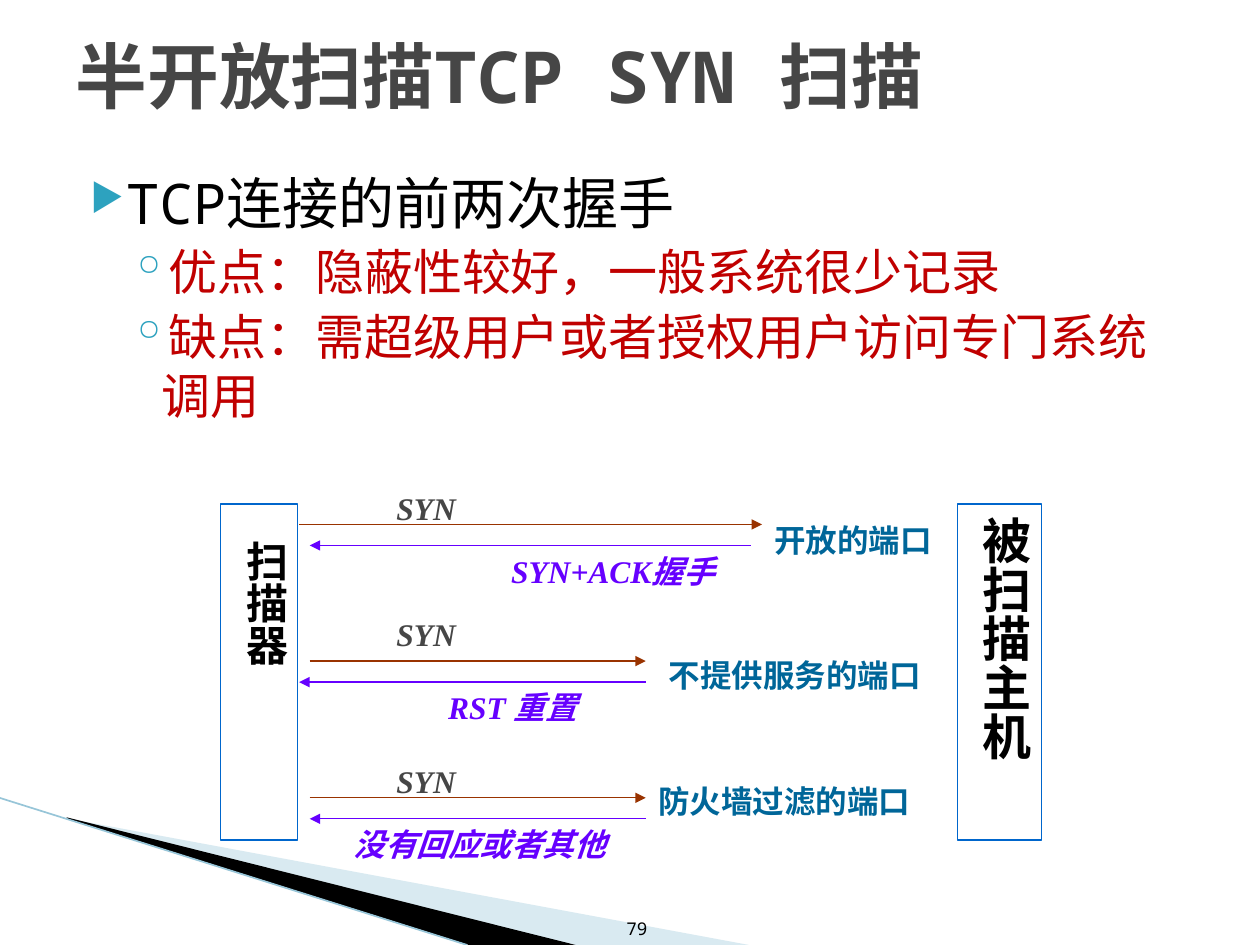
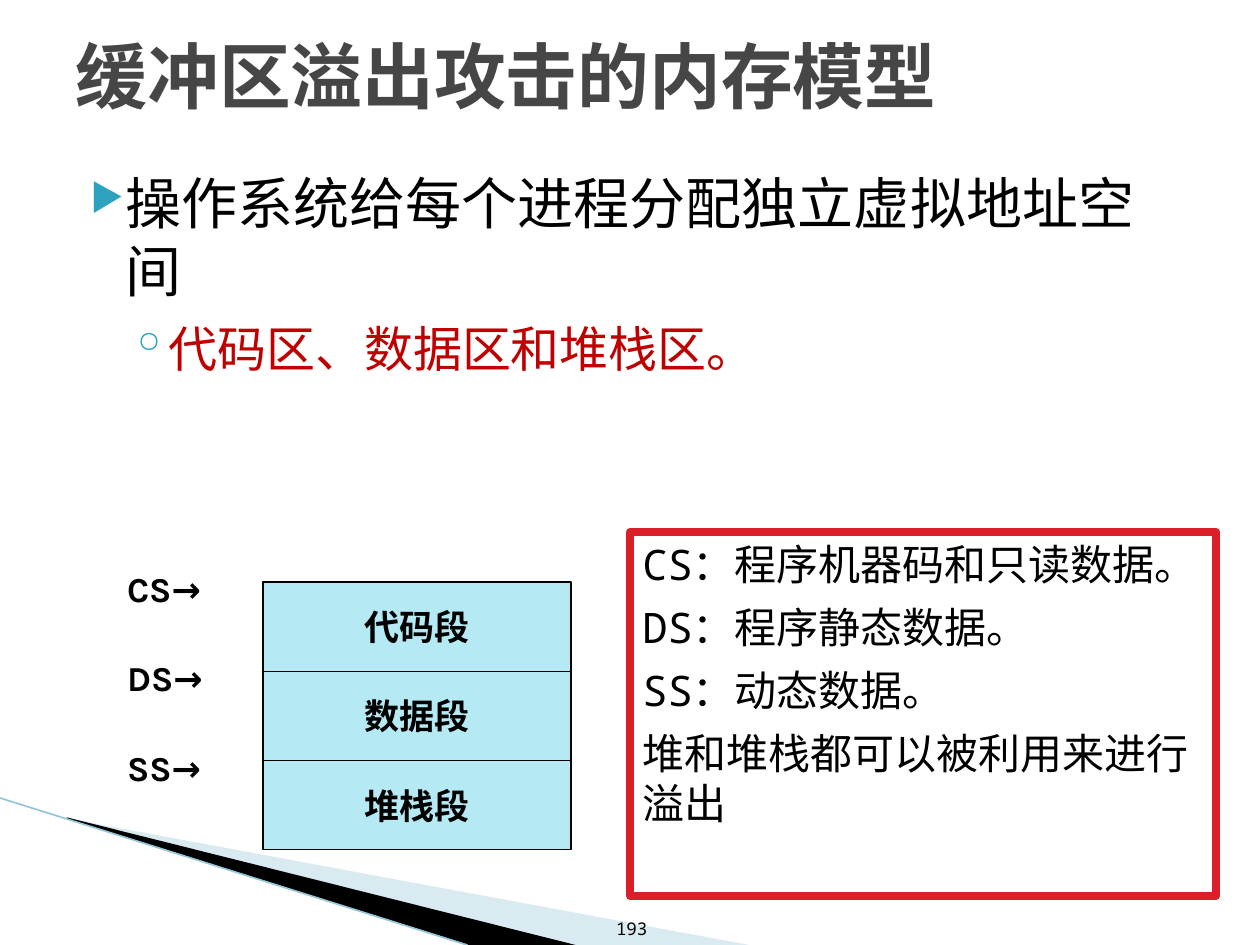
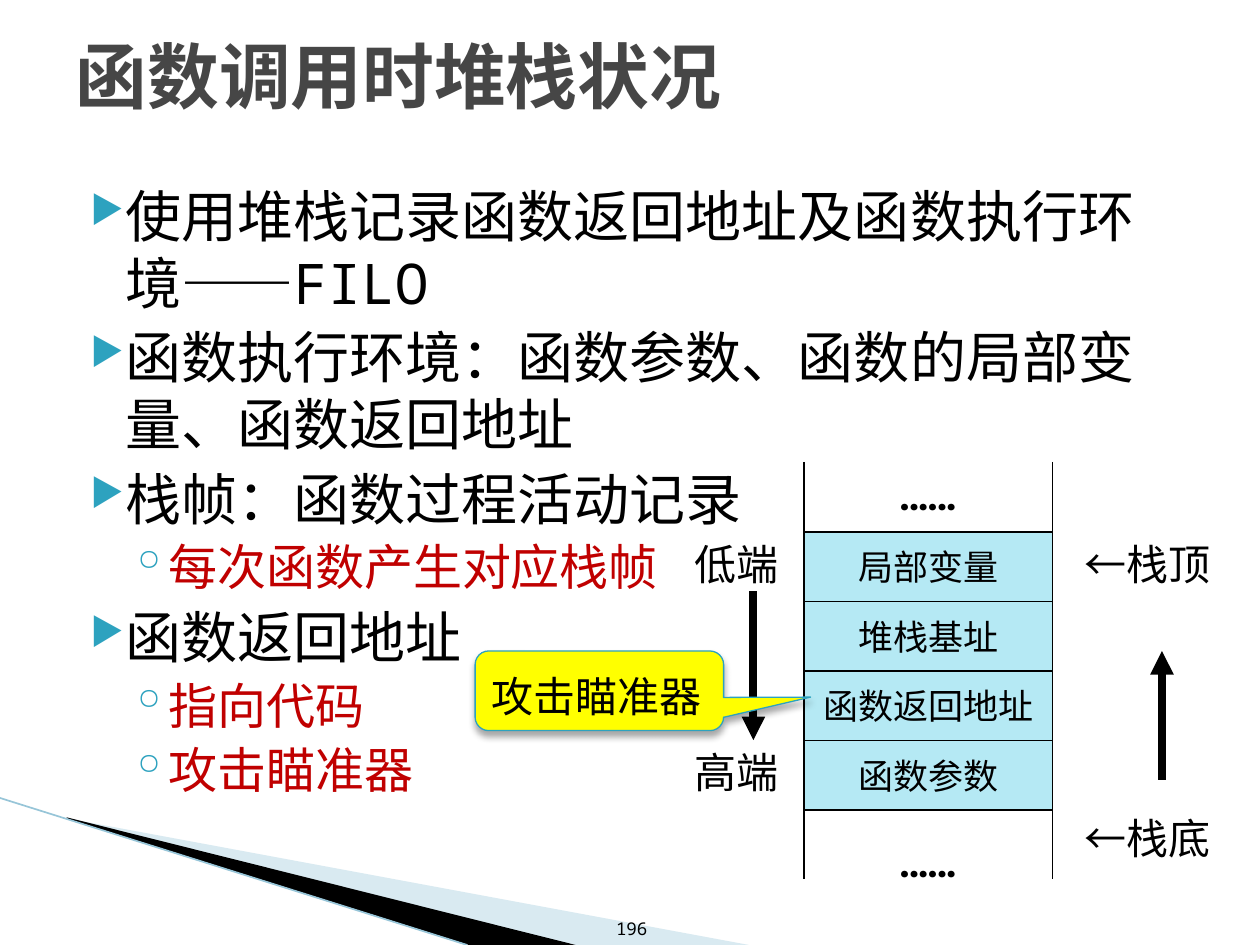
from dataclasses import dataclass
from typing import NamedTuple, Optional

from lxml import etree
from pptx import Presentation
from pptx import util as u
from pptx.dml.color import RGBColor
from pptx.enum import lang, shapes, text
from pptx.oxml import parse_xml
from pptx.oxml.ns import nsdecls, qn

# Shared look
MONO, SERIF, SANS, CALLOUT_FONT = "Noto Sans Mono", "Times New Roman", "Karla", "Arial"
BLACK, WHITE, TITLE_GREY, TEAL, RED = "000000", "FFFFFF", "464646", "2DA2BF", "C00000"
HOST_BLUE, PORT_BLUE, SEND, REPLY = "0066CC", "006699", "993300", "6600FF"
CELL_BLUE, FRAME_RED, YELLOW = "B5E9F4", "DA1F28", "FFFF00"
PALE_BAND, BAND_LINE = "A0CBDC", "97C5D8"
CENTER, RIGHT = text.PP_ALIGN.CENTER, text.PP_ALIGN.RIGHT
MIDDLE, BOTTOM = text.MSO_ANCHOR.MIDDLE, text.MSO_ANCHOR.BOTTOM


class Box(NamedTuple):
    left: float
    top: float
    width: float
    height: float


@dataclass(frozen=True)
class Style:
    size: float
    name: str
    color: str = BLACK
    bold: bool = False
    italic: bool = False


@dataclass(frozen=True)
class Level:
    style: Style
    bullet: str
    bullet_size: int
    margin: float
    indent: float
    before: float


@dataclass(frozen=True)
class Exchange:
    """A SYN probe, its reply and the kind of port that was probed."""
    port: str
    port_at: Box
    syn_top: float
    send_x: tuple[float, float]
    reply: str
    reply_left: float
    reply_width: float
    reply_x: tuple[float, float]


TITLE = Style(41, MONO, TITLE_GREY, bold=True)
POINT = Level(Style(32, MONO), "▶", 68, 28.8, -20.16, 4)
SUBPOINT = Level(Style(28, MONO, RED), "◦", 100, 49, -18, 3.2)
BODY = Box(36, 93, 648, 410)


# Drawing helpers
def rgb(color: str) -> RGBColor:
    return RGBColor.from_string(color)


def place(shape, box: Box) -> None:
    for side, value in box._asdict().items():
        setattr(shape, side, u.Pt(value))


def add_run(paragraph, words: str, style: Style) -> None:
    run = paragraph.add_run()
    run.text = words
    values = {"size": u.Pt(style.size), "name": style.name, "bold": style.bold,
              "italic": style.italic, "language_id": lang.MSO_LANGUAGE_ID.SIMPLIFIED_CHINESE}
    for key, value in values.items():
        setattr(run.font, key, value)
    run.font.color.rgb = rgb(style.color)


def write(shape, lines: list[str], style: Style, align=text.PP_ALIGN.LEFT,
          anchor=text.MSO_ANCHOR.TOP, wrap: bool = True, before: float = 0,
          spacing: Optional[float] = None) -> None:
    frame = shape.text_frame
    frame.word_wrap, frame.vertical_anchor = wrap, anchor
    for index, words in enumerate(lines):
        paragraph = frame.add_paragraph() if index else frame.paragraphs[0]
        paragraph.alignment = align
        if index:
            paragraph.space_before = u.Pt(before)
        if spacing:
            paragraph.line_spacing = spacing
        add_run(paragraph, words, style)


def add_label(slide, words: str, box: Box, style: Style, **layout) -> None:
    label = slide.shapes.add_textbox(*map(u.Pt, box))
    write(label, [words], style, **layout)


def paint(shape, fill: Optional[str], line: Optional[str], width: float = 0.75) -> None:
    shape.shadow.inherit = False
    if fill:
        shape.fill.solid()
        shape.fill.fore_color.rgb = rgb(fill)
    else:
        shape.fill.background()
    if line:
        shape.line.color.rgb = rgb(line)
        shape.line.width = u.Pt(width)
    else:
        shape.line.fill.background()


def add_block(slide, box: Box, fill: Optional[str], line: str, width: float = 0.75,
              kind=shapes.MSO_SHAPE.RECTANGLE):
    block = slide.shapes.add_shape(kind, *map(u.Pt, box))
    paint(block, fill, line, width)
    return block


def add_line(slide, start: tuple[float, float], end: tuple[float, float], color: str,
             width: float = 0.75, arrow: bool = False) -> None:
    line = slide.shapes.add_connector(
        shapes.MSO_CONNECTOR.STRAIGHT, *map(u.Pt, (*start, *end)))
    line.line.color.rgb = rgb(color)
    line.line.width = u.Pt(width)
    if arrow:
        etree.SubElement(line.line._get_or_add_ln(), qn("a:tailEnd"), type="triangle")
    etree.SubElement(line._element.spPr, qn("a:effectLst"))


def add_wedge(slide, points: list[tuple[float, float]], fill: str,
              opacity: Optional[int] = None) -> None:
    outline = slide.shapes.build_freeform(*points[0], scale=u.Pt(1))
    outline.add_line_segments(points[1:], close=True)
    wedge = outline.convert_to_shape()
    paint(wedge, fill, None)
    if opacity:
        color = wedge._element.spPr.find(qn("a:solidFill"))[0]
        etree.SubElement(color, qn("a:alpha"), val=str(opacity * 1000))


# Parts found on every slide
def start_slide(deck, title: str, number: int):
    slide = deck.slides.add_slide(deck.slide_layouts[5])
    add_wedge(slide, [(39.6, 468.5), (428, 540), (328, 540), (39.6, 468)], PALE_BAND, 40)
    add_wedge(slide, [(38, 467), (329, 540), (268, 540), (39, 468)], BLACK)
    add_line(slide, (0, 456), (267, 540), BAND_LINE, 0.95)
    place(slide.shapes.title, Box(36, -2, 648, 90))
    write(slide.shapes.title, [title], TITLE, anchor=MIDDLE)
    slide.shapes.title.text_frame.auto_size = text.MSO_AUTO_SIZE.NONE
    add_label(slide, str(number), Box(337, 505, 40, 35), Style(10, MONO),
              align=RIGHT, anchor=BOTTOM)
    return slide


def add_outline(slide, box: Box, items: list[tuple[Level, str]],
                before_ratio: Optional[float] = None) -> None:
    frame = slide.shapes.add_textbox(*map(u.Pt, box)).text_frame
    frame.word_wrap = True
    for index, (level, words) in enumerate(items):
        paragraph = frame.add_paragraph() if index else frame.paragraphs[0]
        props = paragraph._p.get_or_add_pPr()
        props.set("marL", str(u.Pt(level.margin)))
        props.set("indent", str(u.Pt(level.indent)))
        color = etree.SubElement(props, qn("a:buClr"))
        etree.SubElement(color, qn("a:srgbClr"), val=TEAL)
        etree.SubElement(props, qn("a:buSzPct"), val=str(level.bullet_size * 1000))
        etree.SubElement(props, qn("a:buChar"), char=level.bullet)
        if index:
            before = level.style.size * before_ratio if before_ratio else level.before
            paragraph.space_before = u.Pt(before)
        add_run(paragraph, words, level.style)


def add_cells(slide, names: list[str], first: Box, style: Style) -> None:
    for row, name in enumerate(names):
        cell = add_block(slide, first._replace(top=first.top + row * first.height),
                         CELL_BLUE, BLACK)
        write(cell, [name], style, align=CENTER, anchor=MIDDLE, wrap=False)


# Half-open scan
def syn_scan_slide(deck) -> None:
    slide = start_slide(deck, "半开放扫描TCP SYN 扫描", 79)
    add_outline(slide, BODY, [
        (POINT, "TCP连接的前两次握手"),
        (SUBPOINT, "优点：隐蔽性较好，一般系统很少记录"),
        (SUBPOINT, "缺点：需超级用户或者授权用户访问专门系统调用"),
    ])
    hosts = [("被扫描主机", Box(547, 288, 48, 192), 28, 3.6),
             ("扫描器", Box(126, 288, 44, 192), 24, 21)]
    for name, box, size, inset in hosts:
        host = add_block(slide, box, None, HOST_BLUE)
        write(host, [name], Style(size, SERIF, bold=True))
        host.text_frame.margin_top = u.Pt(inset)
        host.text_frame._txBody.bodyPr.set("vert", "eaVert")

    exchanges = [
        Exchange("开放的端口", Box(435.5, 294, 114, 29), 276, (171, 435.5),
                 "SYN+ACK握手", 285, 138, (429, 177)),
        Exchange("不提供服务的端口", Box(375, 371.5, 162, 29), 348, (177, 369),
                 "RST 重置", 249, 120, (369, 171)),
        Exchange("防火墙过滤的端口", Box(369, 443.5, 162, 29), 432, (177, 369),
                 "没有回应或者其他", 195, 174, (369, 177)),
    ]
    for row, exchange in enumerate(exchanges):
        send_y = 299.7 + 78.1 * row
        reply_y = send_y + 12
        for (start, end), y, color in ((exchange.send_x, send_y, SEND),
                                       (exchange.reply_x, reply_y, REPLY)):
            add_line(slide, (start, y), (end, y), color, arrow=True)
        add_label(slide, exchange.port, exchange.port_at,
                  Style(18, SERIF, PORT_BLUE, bold=True))
        add_label(slide, "SYN", Box(219.5, exchange.syn_top, 66, 29),
                  Style(18, SERIF, TITLE_GREY, bold=True, italic=True))
        add_label(slide, exchange.reply,
                  Box(exchange.reply_left, reply_y, exchange.reply_width, 29),
                  Style(18, SERIF, REPLY, bold=True, italic=True))


# Memory model
def memory_slide(deck) -> None:
    slide = start_slide(deck, "缓冲区溢出攻击的内存模型", 193)
    add_outline(slide, BODY, [
        (POINT, "操作系统给每个进程分配独立虚拟地址空间"),
        (SUBPOINT, "代码区、数据区和堆栈区。"),
    ], before_ratio=0.3)
    segment = Style(20, SANS, bold=True)
    add_cells(slide, ["代码段", "数据段", "堆栈段"], Box(150.3, 332.6, 176, 51), segment)
    for row, register in enumerate(["CS→", "DS→", "SS→"]):
        add_label(slide, register, Box(65.5, 320.5 + 51.3 * row, 68, 31), segment)

    legend = add_block(slide, Box(360, 304, 335, 208), WHITE, FRAME_RED, 4.33)
    write(legend, ["CS：程序机器码和只读数据。", "DS：程序静态数据。", "SS：动态数据。",
                   "堆和堆栈都可以被利用来进行溢出"], Style(24, MONO), before=7.2)


# Stack during a call
def stack_slide(deck) -> None:
    slide = start_slide(deck, "函数调用时堆栈状况", 196)
    add_outline(slide, Box(36, 100, 648, 421), [
        (POINT, "使用堆栈记录函数返回地址及函数执行环境——FILO"),
        (POINT, "函数执行环境：函数参数、函数的局部变量、函数返回地址"),
        (POINT, "栈帧：函数过程活动记录"),
        (SUBPOINT, "每次函数产生对应栈帧"),
        (POINT, "函数返回地址"),
        (SUBPOINT, "指向代码"),
        (SUBPOINT, "攻击瞄准器"),
    ])
    stack = Box(459.5, 304, 142, 39.7)
    add_cells(slide, ["局部变量", "堆栈基址", "函数返回地址", "函数参数"], stack, Style(20, SANS))
    for x in (stack.left, stack.left + stack.width):
        add_line(slide, (x, 264), (x, 502.5), BLACK)
    for top in (264, 474):
        add_label(slide, "……", Box(stack.left, top, stack.width, 36),
                  Style(24, SANS, bold=True), align=CENTER)

    ends = [("←栈顶", 612.5, 304, 98), ("←栈底", 612.5, 460.5, 98),
            ("低端", 390, 304, 63), ("高端", 390, 423, 63)]
    for name, left, top, width in ends:
        add_label(slide, name, Box(left, top, width, 36), Style(24, SANS))
    for x, start, end in ((430.5, 338, 423), (664, 445.5, 372)):
        add_line(slide, (x, start), (x, end), BLACK, 4.5, arrow=True)

    target = add_block(slide, Box(271.5, 372, 142, 45.5), YELLOW, TEAL,
                       kind=shapes.MSO_SHAPE.ROUNDED_RECTANGULAR_CALLOUT)
    for index, value in enumerate((0.85, 0.08, 0.17)):
        target.adjustments[index] = value
    write(target, ["攻击瞄准器"], Style(24, CALLOUT_FONT), anchor=MIDDLE, spacing=1.2)
    target._element.spPr.find(qn("a:effectLst")).append(parse_xml(
        f'<a:outerShdw {nsdecls("a")} blurRad="{u.Pt(4)}" dist="{u.Pt(3)}" dir="5400000">'
        f'<a:srgbClr val="{BLACK}"><a:alpha val="35000"/></a:srgbClr></a:outerShdw>'))


def main() -> None:
    deck = Presentation()
    deck.slide_width, deck.slide_height = u.Pt(720), u.Pt(540)
    for build in (syn_scan_slide, memory_slide, stack_slide):
        build(deck)
    deck.save("out.pptx")


if __name__ == "__main__":
    main()
